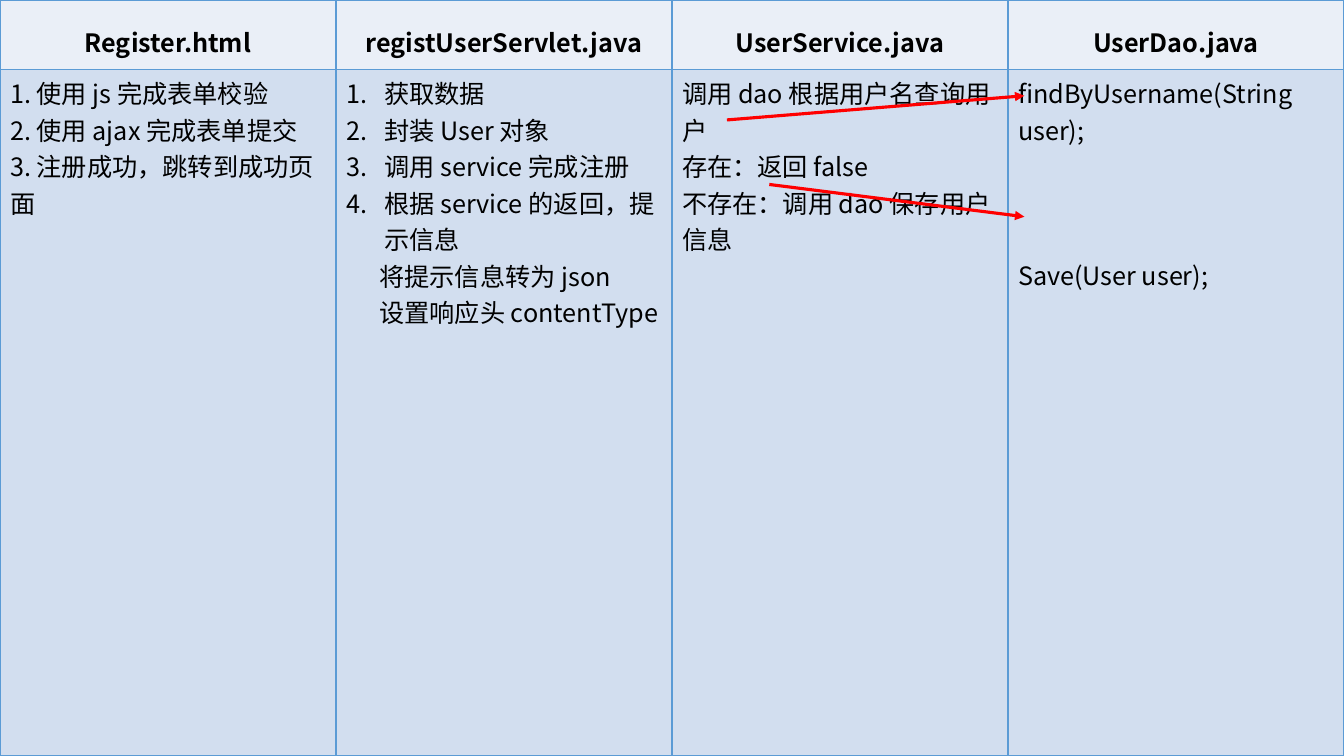
from lxml import etree
from pptx import Presentation
from pptx.dml.color import RGBColor
from pptx.enum.shapes import MSO_CONNECTOR
from pptx.enum.text import PP_ALIGN
from pptx.oxml.ns import qn
from pptx.util import Inches, Pt

STRAIGHT = MSO_CONNECTOR.STRAIGHT
CENTER, LEFT = PP_ALIGN.CENTER, PP_ALIGN.LEFT

WIDTH, HEIGHT, HEADER_HEIGHT = 13.33, 7.5, 0.69
FONT = "Noto Sans CJK SC"
BLACK, RED, BORDER = "000000", "FF0000", "5B9BD5"
HEADER_FILL, BODY_FILL = "EAEFF7", "D2DEEF"

NUMBERED = {"margin": 0.38, "indent": -0.38, "numbered": True}
INDENTED = {"indent": 0.33}
THREE_LINES = {"before": 78}

COLUMNS = [
    ("Register.html", [
        ("1. 使用 js 完成表单校验", {}),
        ("2. 使用 ajax 完成表单提交", {}),
        ("3. 注册成功，跳转到成功页面", {}),
    ]),
    ("registUserServlet.java", [
        ("获取数据", NUMBERED),
        ("封装 User 对象", NUMBERED),
        ("调用 service 完成注册", NUMBERED),
        ("根据 service 的返回，提示信息", NUMBERED),
        ("将提示信息转为 json", INDENTED),
        ("设置响应头 contentType", INDENTED),
    ]),
    ("UserService.java", [
        ("调用 dao 根据用户名查询用户", {}),
        ("存在：返回 false", {}),
        ("不存在：调用 dao 保存用户信息", {}),
    ]),
    ("UserDao.java", [
        ("findByUsername(String user);", {}),
        ("Save(User user);", THREE_LINES),
    ]),
]
ARROWS = [((7.21, 1.19), (10.16, 0.95)), ((7.63, 1.83), (10.16, 2.15))]


def color(value):
    return RGBColor.from_string(value)


def add_child(parent, tag, **attributes):
    return etree.SubElement(parent, qn(tag), attributes)


def write(paragraph, text, bold=False, align=LEFT, spacing=None, before=0,
          margin=0, indent=0, numbered=False):
    paragraph.alignment = align
    paragraph.space_before = Pt(before)
    if spacing:
        paragraph.line_spacing = spacing
    properties = paragraph._p.get_or_add_pPr()
    properties.set("marL", str(Inches(margin)))
    properties.set("indent", str(Inches(indent)))
    if numbered:
        add_child(properties, "a:buFont", typeface="+mj-lt")
        add_child(properties, "a:buAutoNum", type="arabicPeriod")
    run = paragraph.add_run()
    run.text = text
    run.font.size = Pt(18)
    run.font.bold = bold
    run.font.name = FONT
    run.font.color.rgb = color(BLACK)
    add_child(run._r.get_or_add_rPr(), "a:ea", typeface=FONT)


def fill_cell(cell, lines, fill):
    properties = cell._tc.get_or_add_tcPr()
    for side in ("a:lnL", "a:lnR", "a:lnT", "a:lnB"):
        line = add_child(properties, side, w=str(Pt(1)))
        add_child(add_child(line, "a:solidFill"), "a:srgbClr", val=BORDER)
    cell.fill.solid()
    cell.fill.fore_color.rgb = color(fill)
    frame = cell.text_frame
    for number, (text, style) in enumerate(lines):
        paragraph = frame.add_paragraph() if number else frame.paragraphs[0]
        write(paragraph, text, **style)


def add_arrow(slide, start, end):
    points = [Inches(value) for value in (*start, *end)]
    connector = slide.shapes.add_connector(STRAIGHT, *points)
    connector.line.color.rgb = color(RED)
    connector.line.width = Pt(2.25)
    add_child(connector.line._get_or_add_ln(), "a:tailEnd", type="triangle")
    add_child(connector._element.spPr, "a:effectLst")


def main():
    presentation = Presentation()
    presentation.slide_width = Inches(WIDTH)
    presentation.slide_height = Inches(HEIGHT)
    slide = presentation.slides.add_slide(presentation.slide_layouts[6])

    table = slide.shapes.add_table(
        2, len(COLUMNS), 0, 0, Inches(WIDTH), Inches(HEIGHT)).table
    table.rows[0].height = Inches(HEADER_HEIGHT)
    table.rows[1].height = Inches(HEIGHT - HEADER_HEIGHT)
    heading = {"bold": True, "align": CENTER, "spacing": 1.5}
    for index, (title, lines) in enumerate(COLUMNS):
        table.columns[index].width = Inches(WIDTH / len(COLUMNS))
        fill_cell(table.cell(0, index), [(title, heading)], HEADER_FILL)
        fill_cell(table.cell(1, index), lines, BODY_FILL)

    for start, end in ARROWS:
        add_arrow(slide, start, end)
    presentation.save("out.pptx")


if __name__ == "__main__":
    main()
